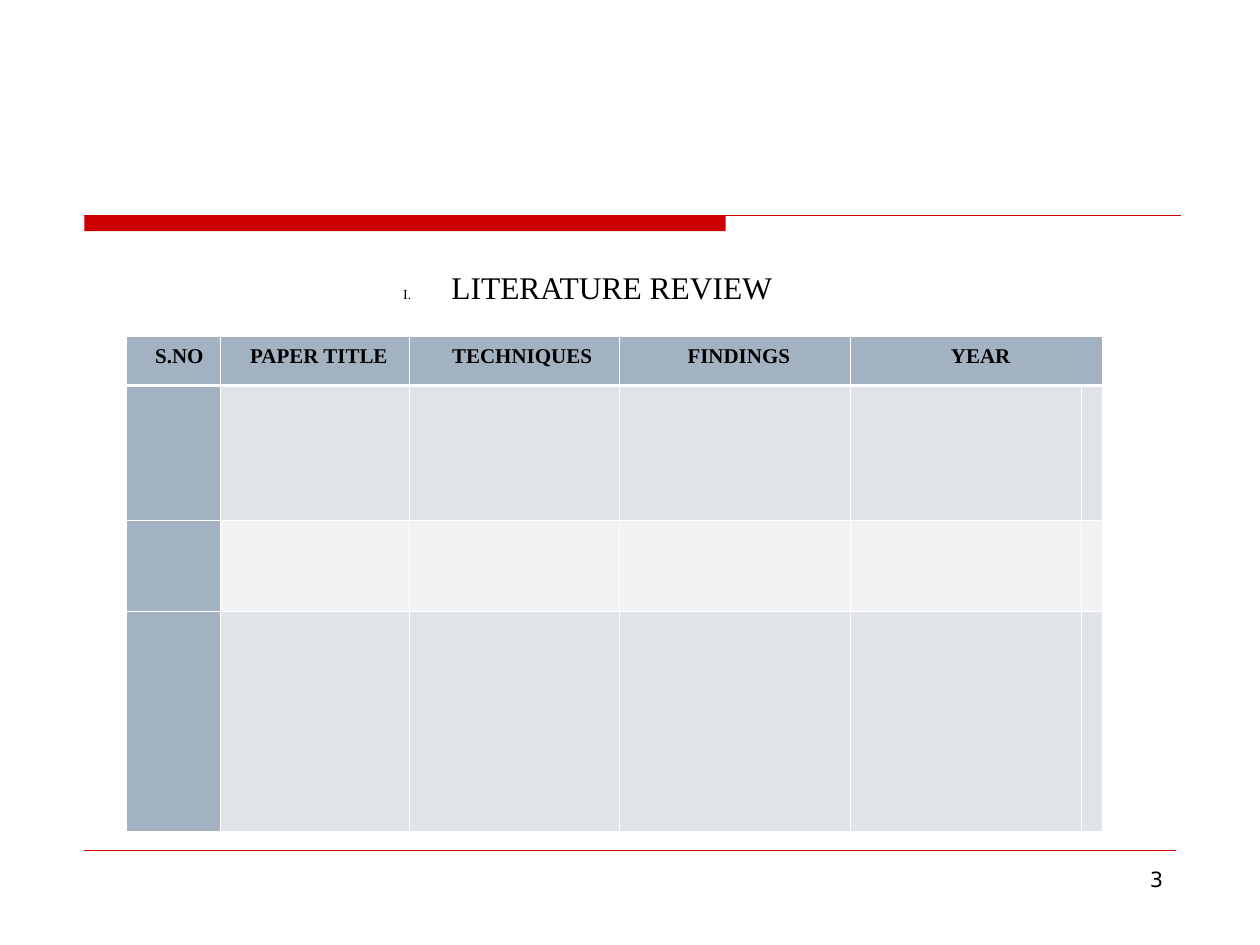
import lxml.etree
import pptx
import pptx.dml.color
import pptx.enum.shapes
import pptx.enum.text
import pptx.oxml
import pptx.oxml.ns
import pptx.util
from pptx.util import Cm

RED = "CC0000"
BLACK = "000000"
WHITE = "FFFFFF"
SLATE = "A3B2C1"
BAND_FILLS = ["E0E4E9", "F0F2F4"]
SERIF = "Times New Roman"
HEADERS = ["S.NO", "PAPER TITLE", "TECHNIQUES", "FINDINGS", "YEAR"]
HEADER_INDENTS = [0.08, 0, 0.15, 0, 0]
COLUMN_WIDTHS = [1.9, 3.81, 4.23, 4.66, 4.66, 0.42]
ROW_HEIGHTS = [0.98, 2.71, 1.85, 4.42]


def color(value):
    return pptx.dml.color.RGBColor.from_string(value)


def add_element(parent, tag, index=None, **attributes):
    element = lxml.etree.Element(pptx.oxml.ns.qn(tag), attributes)
    parent.insert(len(parent) if index is None else index, element)
    return element


def add_span(para, text, size, font, bold=False):
    span = para.add_run()
    span.text = text
    span.font.size = pptx.util.Pt(size)
    span.font.name = font
    span.font.bold = bold
    span.font.color.rgb = color(BLACK)


def add_rule(page, left, right, top, width):
    rule = page.shapes.add_connector(
        pptx.enum.shapes.MSO_CONNECTOR.STRAIGHT, Cm(left), Cm(top), Cm(right), Cm(top))
    rule.line.color.rgb = color(RED)
    rule.line.width = pptx.util.Pt(width)
    add_element(rule._element.spPr, "a:effectLst")


def add_bar(page, left, top, width, height):
    bar = page.shapes.add_shape(
        pptx.enum.shapes.MSO_SHAPE.RECTANGLE, Cm(left), Cm(top), Cm(width), Cm(height))
    bar.shadow.inherit = False
    bar.fill.solid()
    bar.fill.fore_color.rgb = color(RED)
    bar.line.fill.background()


def set_title(page, text):
    title = page.shapes.title
    title.left, title.top, title.width, title.height = Cm(7.85), Cm(5.36), Cm(8), Cm(0.94)
    frame = title.text_frame
    frame.word_wrap = False
    frame.auto_size = pptx.enum.text.MSO_AUTO_SIZE.SHAPE_TO_FIT_TEXT
    para = frame.paragraphs[0]
    para.alignment = pptx.enum.text.PP_ALIGN.CENTER
    para.line_spacing = 0.9
    para.space_before = pptx.util.Pt(0)
    properties = para._p.get_or_add_pPr()
    properties.set("marL", str(Cm(0.97)))
    properties.set("indent", str(Cm(-0.97)))
    bullet_color = add_element(properties, "a:buClr")
    add_element(bullet_color, "a:srgbClr", val=BLACK)
    add_element(properties, "a:buSzPct", val="44000")
    add_element(properties, "a:buFont", typeface=SERIF)
    add_element(properties, "a:buAutoNum", type="romanUcPeriod")
    add_span(para, text, 18, SERIF)


def add_page_number(page, text):
    box = page.shapes.add_textbox(Cm(18.2), Cm(17.35), Cm(5.5), Cm(1.32))
    box.text_frame.word_wrap = True
    para = box.text_frame.paragraphs[0]
    para.alignment = pptx.enum.text.PP_ALIGN.RIGHT
    add_span(para, text, 12, "DejaVu Sans")


def style_cell(cell, fill, top_width, bottom_width):
    cell.margin_left, cell.margin_right = Cm(0.25), Cm(0.08)
    cell.fill.solid()
    cell.fill.fore_color.rgb = color(fill)
    properties = cell._tc.get_or_add_tcPr()
    borders = {"a:lnL": 0.45, "a:lnR": 0.45, "a:lnT": top_width, "a:lnB": bottom_width}
    for index, (tag, width) in enumerate(borders.items()):
        border = add_element(properties, tag, index, w=str(pptx.util.Pt(width)))
        add_element(add_element(border, "a:solidFill"), "a:srgbClr", val=WHITE)


def fill_header(cell, text, indent):
    para = cell.text_frame.paragraphs[0]
    para.alignment = pptx.enum.text.PP_ALIGN.CENTER
    para.line_spacing = 1.07
    para._p.get_or_add_pPr().set("marL", str(Cm(indent)))
    add_span(para, text, 12, SERIF, bold=True)


def add_review_table(page):
    table = page.shapes.add_table(
        len(ROW_HEIGHTS), len(COLUMN_WIDTHS), Cm(2.54), Cm(6.79),
        Cm(sum(COLUMN_WIDTHS)), Cm(sum(ROW_HEIGHTS))).table
    table.first_col = True
    for column, width in zip(table.columns, COLUMN_WIDTHS):
        column.width = Cm(width)
    for row_index, (row, height) in enumerate(zip(table.rows, ROW_HEIGHTS)):
        row.height = Cm(height)
        for column_index, cell in enumerate(row.cells):
            is_label = row_index == 0 or column_index == 0
            fill = SLATE if is_label else BAND_FILLS[(row_index - 1) % 2]
            style_cell(cell, fill, 1.47 if row_index == 1 else 0.45,
                       1.47 if row_index == 0 else 0.45)
    table.cell(0, 4).merge(table.cell(0, 5))
    for index, (text, indent) in enumerate(zip(HEADERS, HEADER_INDENTS)):
        fill_header(table.cell(0, index), text, indent)


def main():
    deck = pptx.Presentation()
    deck.slide_width, deck.slide_height = Cm(25.4), Cm(19.05)
    page = deck.slides.add_slide(deck.slide_layouts[5])
    add_bar(page, 1.7, 4.34, 12.93, 0.32)
    add_rule(page, 1.7, 23.8, 4.34, 0.75)
    add_rule(page, 1.7, 23.7, 17.15, 0.25)
    add_page_number(page, "3")
    add_review_table(page)
    set_title(page, "LITERATURE REVIEW")
    deck.save("out.pptx")


if __name__ == "__main__":
    main()
